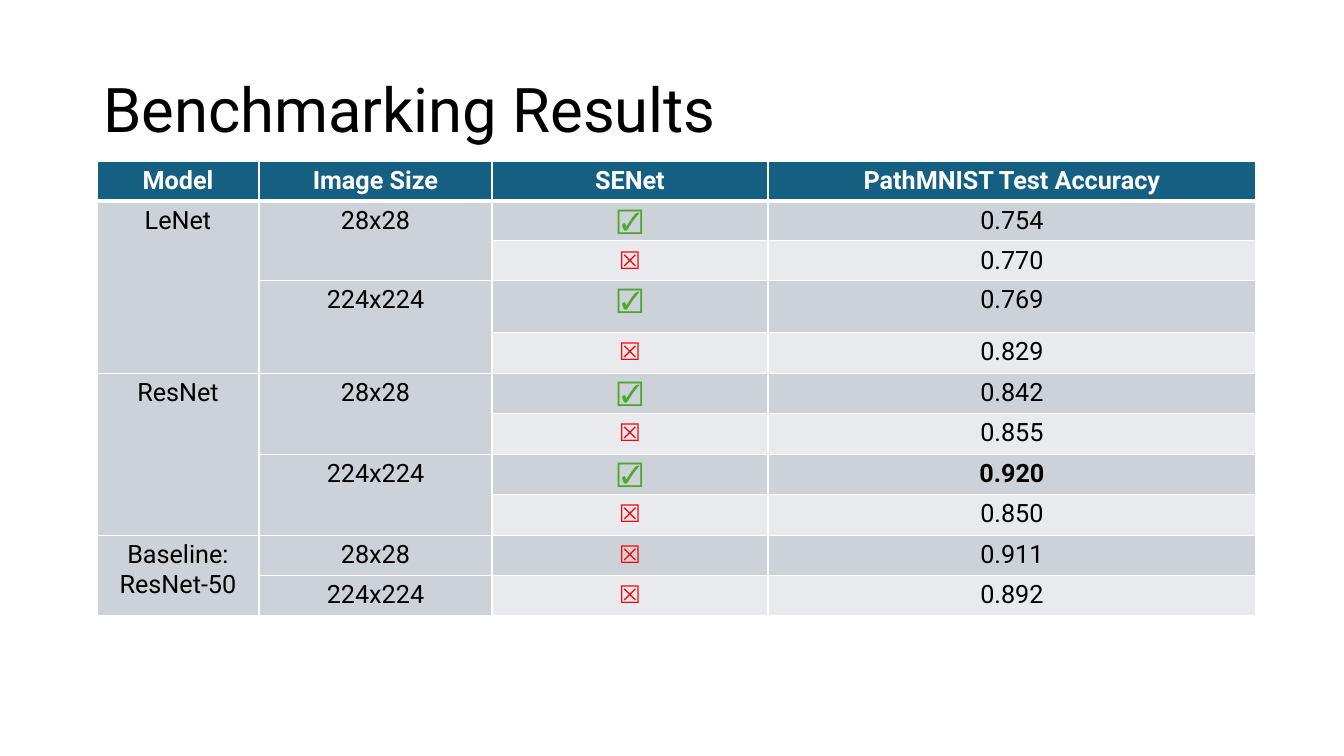
"""Build a slide with a table of benchmarking results."""
from lxml.etree import SubElement
from pptx import Presentation
from pptx.dml.color import RGBColor as Color
from pptx.enum.text import MSO_ANCHOR as Anchor, MSO_AUTO_SIZE as AutoSize, PP_ALIGN as Align
from pptx.oxml.ns import qn
from pptx.util import Emu, Pt

SCALE = 914400 / 100.8
FONT = "Roboto"
COLORS = {
    "black": "000000", "white": "FFFFFF", "header": "156082",
    "dark": "CCD2D8", "light": "E8EAED", "yes": "4EA72E", "no": "FF0000",
}
YES, NO = "☑", "⮽"
COLUMN_WIDTHS = [162, 233, 276, 488]
ROW_HEIGHTS = [38, 40, 40, 52, 41, 40, 41, 40, 41, 40, 40]
ROWS = [
    ["Model", "Image Size", "SENet", "PathMNIST Test Accuracy"],
    ["LeNet", "28x28", YES, "0.754"],
    [None, None, NO, "0.770"],
    [None, "224x224", YES, "0.769"],
    [None, None, NO, "0.829"],
    ["ResNet", "28x28", YES, "0.842"],
    [None, None, NO, "0.855"],
    [None, "224x224", YES, "0.920"],
    [None, None, NO, "0.850"],
    ["Baseline:\nResNet-50", "28x28", NO, "0.911"],
    [None, "224x224", NO, "0.892"],
]
BEST = "0.920"


def px(length):
    return Emu(round(length * SCALE))


def color(name):
    return Color.from_string(COLORS[name])


def set_values(target, values):
    for name, value in values.items():
        setattr(target, name, value)


def format_text(frame, ink, para_format, font_format):
    for para in frame.paragraphs:
        set_values(para, para_format)
        for span in para.runs:
            set_values(span.font, {"name": FONT, **font_format})
            span.font.color.rgb = color(ink)


def add_title(page, text, left, top, width, height):
    box = page.shapes.title
    set_values(box, {"left": px(left), "top": px(top),
                     "width": px(width), "height": px(height)})
    frame = box.text_frame
    frame.text = text
    set_values(frame, {"auto_size": AutoSize.NONE, "word_wrap": True,
                       "vertical_anchor": Anchor.MIDDLE})
    format_text(frame, "black", {"alignment": Align.LEFT, "line_spacing": 0.9},
                {"size": Pt(44), "bold": False})


def add_borders(cell, bottom, top):
    properties = cell._tc.get_or_add_tcPr()
    for side, width in (("L", 1), ("R", 1), ("T", top), ("B", bottom)):
        line = SubElement(properties, qn(f"a:ln{side}"), w=str(Pt(width)))
        fill = SubElement(line, qn("a:solidFill"))
        SubElement(fill, qn("a:srgbClr"), val=COLORS["white"])


def format_cell(cell, text, row, column):
    add_borders(cell, bottom=3 if row == 0 else 1, top=3 if row == 1 else 1)
    if row == 0:
        back, ink = "header", "white"
    else:
        back = "dark" if column < 2 or row % 2 else "light"
        ink = {YES: "yes", NO: "no"}.get(text, "black")
    cell.fill.solid()
    cell.fill.fore_color.rgb = color(back)
    if text is not None:
        cell.text = text
        format_text(cell.text_frame, ink, {"alignment": Align.CENTER},
                    {"size": Pt(18), "bold": row == 0 or text == BEST})


def merge_spans(table):
    for column in range(len(COLUMN_WIDTHS)):
        starts = [row for row, texts in enumerate(ROWS) if texts[column] is not None]
        for start, end in zip(starts, starts[1:] + [len(ROWS)]):
            if end - start > 1:
                table.cell(start, column).merge(table.cell(end - 1, column))


def add_results_table(page, left, top):
    table = page.shapes.add_table(
        len(ROWS), len(COLUMN_WIDTHS), px(left), px(top),
        px(sum(COLUMN_WIDTHS)), px(sum(ROW_HEIGHTS))).table
    for column, width in zip(table.columns, COLUMN_WIDTHS):
        column.width = px(width)
    for row, height in zip(table.rows, ROW_HEIGHTS):
        row.height = px(height)
    for row, texts in enumerate(ROWS):
        for column, text in enumerate(texts):
            format_cell(table.cell(row, column), text, row, column)
    merge_spans(table)


def main():
    deck = Presentation()
    set_values(deck, {"slide_width": px(1344), "slide_height": px(756)})
    page = deck.slides.add_slide(deck.slide_layouts[5])
    add_title(page, "Benchmarking Results", 93, 40, 1159, 146)
    add_results_table(page, 97, 161)
    deck.save("out.pptx")


if __name__ == "__main__":
    main()
